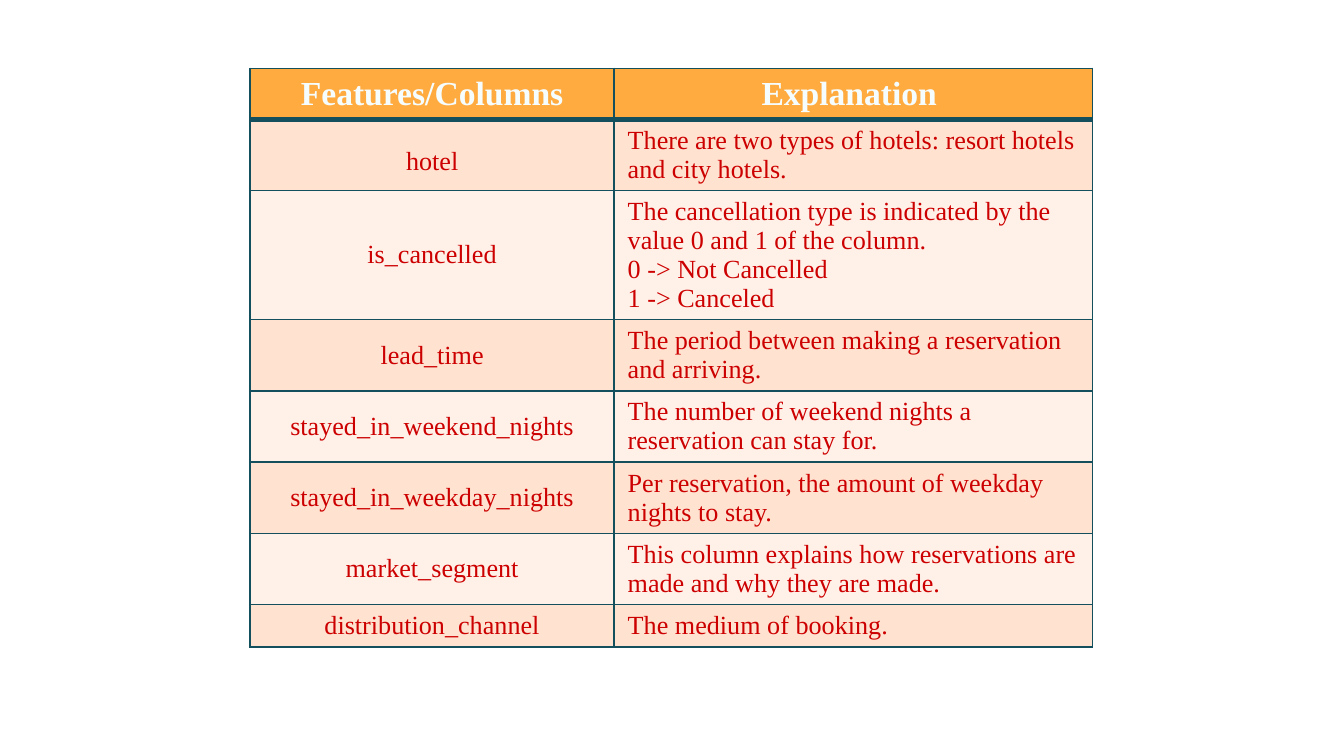
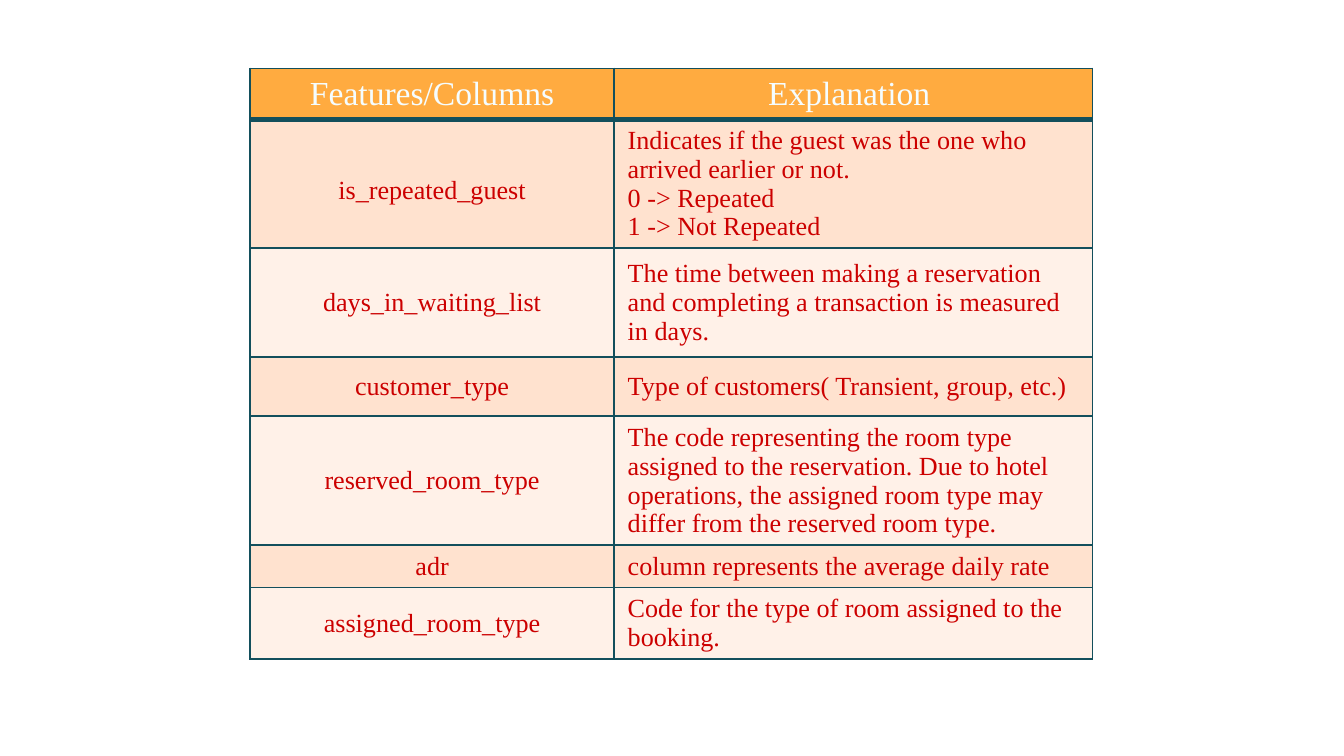
"""Build two slides of tables that explain the columns of a hotel booking dataset."""
from dataclasses import dataclass

import lxml.etree
import pptx
import pptx.dml.color
import pptx.enum.text
import pptx.oxml.ns
import pptx.presentation
import pptx.table
import pptx.util

FONT = "Times New Roman"
HEADER_FILL = "FFAB40"
HEADER_TEXT = "F5FDFF"
BODY_FILLS = ("FFE2CF", "FFF1E8")
BODY_TEXT = "CC0000"
BORDER = "134F5C"
THIN, THICK = pptx.util.Pt(1), pptx.util.Pt(3)
HEADINGS = ("Features/Columns", "Explanation ")
COLUMN_WIDTHS = (pptx.util.Pt(195.1), pptx.util.Pt(256.3))
TABLE_LEFT, TABLE_TOP = pptx.util.Pt(134), pptx.util.Pt(36.7)
HEADER_HEIGHT = pptx.util.Pt(27)
CENTER = pptx.enum.text.PP_ALIGN.CENTER
LEFT = pptx.enum.text.PP_ALIGN.LEFT


@dataclass(frozen=True)
class Feature:
    """A dataset column, its explanation and its row height in points."""
    name: str
    explanation: str
    height: float


@dataclass(frozen=True)
class FeatureTable:
    """The features on one slide and the weight of its headings."""
    features: tuple[Feature, ...]
    bold_headings: bool


@dataclass(frozen=True)
class CellStyle:
    """The look of one table cell."""
    fill: str
    color: str
    size: int
    bold: bool
    align: pptx.enum.text.PP_ALIGN
    anchor: pptx.enum.text.MSO_ANCHOR
    top_border: int = THIN
    bottom_border: int = THIN
    line_spacing: float = 1.0


FEATURE_TABLES = (
    FeatureTable((
        Feature("hotel", "There are two types of hotels: resort hotels and city hotels.", 38),
        Feature("is_cancelled",
                "The cancellation type is indicated by the value 0 and 1 of the column.\n"
                "0 -> Not Cancelled\n1 -> Canceled", 69),
        Feature("lead_time", "The period between making a reservation and arriving.", 38),
        Feature("stayed_in_weekend_nights",
                "The number of weekend nights a reservation can stay for.", 38),
        Feature("stayed_in_weekday_nights",
                "Per reservation, the amount of weekday nights to stay.", 38),
        Feature("market_segment",
                "This column explains how reservations are made and why they are made.", 38),
        Feature("distribution_channel", "The medium of booking.", 22.5),
    ), bold_headings=True),
    FeatureTable((
        Feature("is_repeated_guest",
                "Indicates if the guest was the one who arrived earlier or not.\n"
                "0 -> Repeated\n1 -> Not Repeated", 69),
        Feature("days_in_waiting_list",
                "The time between making a reservation and completing a transaction "
                "is measured in days.", 58.3),
        Feature("customer_type", "Type of customers( Transient, group, etc.)", 31.7),
        Feature("reserved_room_type",
                "The code representing the room type assigned to the reservation. "
                "Due to hotel operations, the assigned room type may differ from "
                "the reserved room type.", 69),
        Feature("adr", "column represents the average daily rate", 22.5),
        Feature("assigned_room_type", "Code for the type of room assigned to the booking.", 38),
    ), bold_headings=False),
)


def rgb(value: str) -> pptx.dml.color.RGBColor:
    """Turn a hex string into a colour."""
    return pptx.dml.color.RGBColor.from_string(value)


def draw_borders(cell: pptx.table._Cell, top: int, bottom: int) -> None:
    """Line the four edges of a cell that has no fill yet."""
    properties = cell._tc.get_or_add_tcPr()
    for edge, width in (("lnL", THIN), ("lnR", THIN), ("lnT", top), ("lnB", bottom)):
        line = lxml.etree.SubElement(properties, pptx.oxml.ns.qn(f"a:{edge}"), w=str(width))
        fill = lxml.etree.SubElement(line, pptx.oxml.ns.qn("a:solidFill"))
        lxml.etree.SubElement(fill, pptx.oxml.ns.qn("a:srgbClr"), val=BORDER)


def write_cell(cell: pptx.table._Cell, text: str, style: CellStyle) -> None:
    """Write text into a cell and style it."""
    draw_borders(cell, style.top_border, style.bottom_border)
    cell.fill.solid()
    cell.fill.fore_color.rgb = rgb(style.fill)
    cell.vertical_anchor = style.anchor
    cell.text_frame.text = text
    for paragraph in cell.text_frame.paragraphs:
        paragraph.alignment = style.align
        paragraph.line_spacing = style.line_spacing
        for run in paragraph.runs:
            run.font.name = FONT
            run.font.size = pptx.util.Pt(style.size)
            run.font.bold = style.bold
            run.font.color.rgb = rgb(style.color)


def add_feature_slide(deck: pptx.presentation.Presentation, content: FeatureTable) -> None:
    """Add a slide that holds one feature table."""
    slide = deck.slides.add_slide(deck.slide_layouts[6])
    heights = [HEADER_HEIGHT, *(pptx.util.Pt(feature.height) for feature in content.features)]
    table = slide.shapes.add_table(len(heights), len(COLUMN_WIDTHS), TABLE_LEFT, TABLE_TOP,
                                   sum(COLUMN_WIDTHS), sum(heights)).table
    for column, width in zip(table.columns, COLUMN_WIDTHS):
        column.width = width
    for row, height in zip(table.rows, heights):
        row.height = height

    heading_style = CellStyle(HEADER_FILL, HEADER_TEXT, 18, content.bold_headings, CENTER,
                              pptx.enum.text.MSO_ANCHOR.TOP, bottom_border=THICK)
    for column_index, heading in enumerate(HEADINGS):
        write_cell(table.cell(0, column_index), heading, heading_style)

    for index, feature in enumerate(content.features):
        first = index == 0
        fill = BODY_FILLS[index % len(BODY_FILLS)]
        texts = ((feature.name, CENTER, 1.5 if first else 1.0),
                 (feature.explanation, LEFT, 1.0))
        for column_index, (text, align, spacing) in enumerate(texts):
            style = CellStyle(fill, BODY_TEXT, 14, False, align,
                              pptx.enum.text.MSO_ANCHOR.MIDDLE,
                              top_border=THICK if first else THIN, line_spacing=spacing)
            write_cell(table.cell(index + 1, column_index), text, style)


def main() -> None:
    """Build and save the deck."""
    deck = pptx.Presentation()
    deck.slide_width, deck.slide_height = pptx.util.Pt(720), pptx.util.Pt(405)
    for content in FEATURE_TABLES:
        add_feature_slide(deck, content)
    deck.save("out.pptx")


if __name__ == "__main__":
    main()
